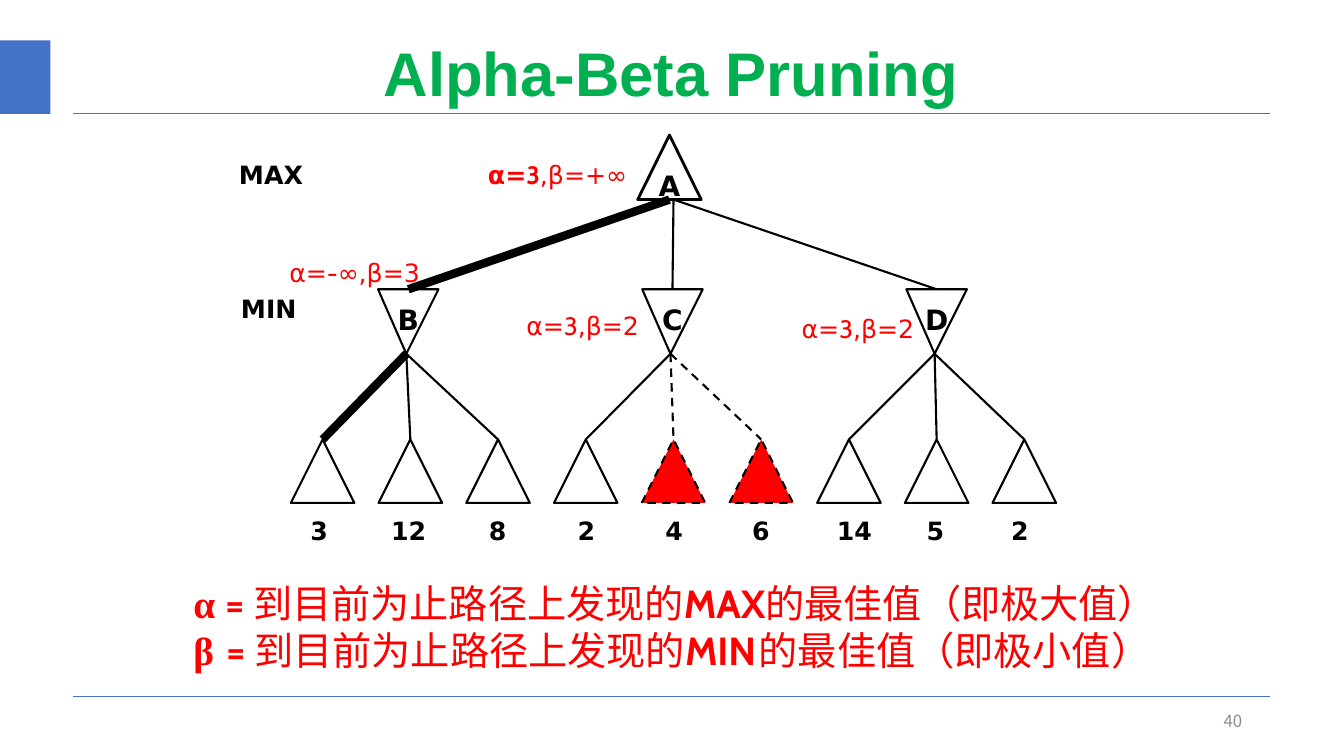
from lxml import etree
from pptx import Presentation
from pptx.dml.color import RGBColor
from pptx.enum.dml import MSO_LINE
from pptx.enum.shapes import MSO_CONNECTOR, MSO_SHAPE
from pptx.enum.text import MSO_ANCHOR, PP_ALIGN
from pptx.oxml.ns import qn
from pptx.util import Inches, Pt

STRAIGHT = MSO_CONNECTOR.STRAIGHT
RECTANGLE = MSO_SHAPE.RECTANGLE
DASH = MSO_LINE.DASH
MIDDLE, TOP = MSO_ANCHOR.MIDDLE, MSO_ANCHOR.TOP
LEFT, CENTER, RIGHT = PP_ALIGN.LEFT, PP_ALIGN.CENTER, PP_ALIGN.RIGHT

SANS, HUMANIST, SERIF = "DejaVu Sans", "Cabin", "Times New Roman"
CHINESE = "Noto Sans CJK SC"
BLACK, RED, BLUE = "000000", "FF0000", "4472C4"

LEAVES = [("3", 0.19), ("12", 0.99), ("8", 1.96), ("2", 2.84), ("4", 3.71),
          ("6", 4.57), ("14", 5.41), ("5", 6.30), ("2", 7.14)]
PRUNED = (4, 5)
BOUNDS = [
    (1.95, 0.22, [("α=", SANS, True), ("3", HUMANIST, True), (",β=+∞", SANS, False)]),
    (-0.02, 1.19, [("α=", SANS, False), ("-", HUMANIST, False), ("∞,β=3", SANS, False)]),
    (2.33, 1.72, [("α=", SANS, False), ("3", HUMANIST, False), (",β=2", SANS, False)]),
    (5.06, 1.75, [("α=", SANS, False), ("3", HUMANIST, False), (",β=2", SANS, False)]),
]
DEFINITIONS = [
    [("α ", SERIF, True, 28), ("= ", HUMANIST, True, 28),
     ("到目前为止路径上发现的", CHINESE, False, 28), ("MAX", HUMANIST, True, 28),
     ("的最佳值（即极大值）", CHINESE, False, 28)],
    [("β ", SERIF, True, 28), (" ", SERIF, True, 7), ("= ", HUMANIST, True, 28),
     ("到目前为止路径上发现的", CHINESE, False, 28), ("MIN", HUMANIST, True, 28),
     (" ", HUMANIST, True, 8), ("的最佳值（即极小值）", CHINESE, False, 28)],
]


def rgb(value):
    return RGBColor.from_string(value)


def add_text(slide, box, lines, color, align=LEFT, anchor=TOP, inset=True,
             wrap=False, spacing=None):
    frame = slide.shapes.add_textbox(*map(Inches, box)).text_frame
    frame.word_wrap = wrap
    frame.vertical_anchor = anchor
    if not inset:
        frame.margin_left = frame.margin_right = 0
        frame.margin_top = frame.margin_bottom = 0
    for index, pieces in enumerate(lines):
        paragraph = frame.add_paragraph() if index else frame.paragraphs[0]
        paragraph.alignment = align
        if spacing:
            paragraph.line_spacing = spacing
        for words, face, bold, size in pieces:
            run = paragraph.add_run()
            run.text = words
            run.font.size = Pt(size)
            run.font.bold = bold
            run.font.color.rgb = rgb(color)
            run.font.name = face
            east_asian = etree.SubElement(run.font._element, qn("a:ea"))
            east_asian.set("typeface", face)


def add_label(slide, left, top, width, pieces, color=BLACK, size=18, align=LEFT):
    sized = [(*piece, size) for piece in pieces]
    add_text(slide, (left, top, width, 0.33), [sized], color, align,
             inset=False, spacing=1.07)


def add_line(slide, start, end, width=1.5, color=BLACK, dashed=False):
    line = slide.shapes.add_connector(STRAIGHT, *map(Inches, (*start, *end)))
    line.line.width = Pt(width)
    line.line.color.rgb = rgb(color)
    if dashed:
        line.line.dash_style = DASH
    etree.SubElement(line._element.spPr, qn("a:effectLst"))


def add_triangle(slide, points, width=1.5, pruned=False):
    start, *others = [tuple(map(Inches, point)) for point in points]
    builder = slide.shapes.build_freeform(*start)
    builder.add_line_segments(others, close=True)
    triangle = builder.convert_to_shape()
    triangle.shadow.inherit = False
    triangle.line.color.rgb = rgb(BLACK)
    triangle.line.width = Pt(width)
    if pruned:
        triangle.fill.solid()
        triangle.fill.fore_color.rgb = rgb(RED)
        triangle.line.dash_style = DASH
    else:
        triangle.fill.background()


def add_header(slide, left, top, width, height):
    accent = slide.shapes.add_shape(RECTANGLE, 0, Inches(top + 0.07), Inches(0.5), Inches(0.73))
    accent.shadow.inherit = False
    accent.fill.solid()
    accent.fill.fore_color.rgb = rgb(BLUE)
    accent.line.fill.background()
    add_line(slide, (0.72, 1.12), (12.6, 1.12), 0.5, BLUE)
    add_text(slide, (left, top, width, height), [[("Alpha-Beta Pruning", "Arial", True, 44)]],
             "00B050", CENTER, MIDDLE, wrap=True, spacing=0.9)


def add_tree(slide, left, top):
    root_x, root_base = left + 3.75, top + 0.64
    min_top, min_tip = top + 1.53, top + 2.17
    leaf_top, leaf_base = top + 3.02, top + 3.65
    half = 0.315

    add_triangle(slide, [(root_x - half, root_base), (root_x, top), (root_x + half, root_base)], 2)
    add_label(slide, root_x - 0.15, top + 0.31, 0.3, [("A", SANS, True)], size=20, align=CENTER)

    for branch, name in enumerate("BCD"):
        node_x = left + 1.16 + 2.62 * branch
        tip = (node_x - 0.02, min_tip)
        best = branch == 0
        add_triangle(slide, [tip, (node_x + 0.3, min_top), (node_x - 0.3, min_top)])
        add_label(slide, node_x - 0.15, top + 1.64, 0.3, [(name, SANS, True)],
                  size=20, align=CENTER)
        add_line(slide, (root_x if best else root_x + 0.04, root_base),
                 (node_x, min_top), 6 if best else 1.5)
        for leaf in range(3 * branch, 3 * branch + 3):
            leaf_x = left + 0.31 + 0.87 * leaf
            pruned = leaf in PRUNED
            add_triangle(slide, [(leaf_x - half, leaf_base), (leaf_x, leaf_top),
                                 (leaf_x + half, leaf_base)], pruned=pruned)
            add_line(slide, tip, (leaf_x, leaf_top), 6 if leaf == 0 else 1.5, dashed=pruned)
            value, offset = LEAVES[leaf]
            add_label(slide, left + offset, top + 3.75, 0.23 * len(value), [(value, SANS, True)])

    for player, x, y in [("MAX", -0.52, 0.22), ("MIN", -0.5, 1.55)]:
        add_label(slide, left + x, top + y, 0.82, [(player, SANS, True)])
    for x, y, pieces in BOUNDS:
        add_label(slide, left + x, top + y, 1.5, pieces, RED)


def add_definitions(slide, left, top, width, height):
    add_text(slide, (left, top, width, height), DEFINITIONS, RED, wrap=True)


def add_footer(slide, left, top, width, height):
    add_line(slide, (0.72, 6.91), (12.6, 6.91), 0.5, BLUE)
    add_text(slide, (left, top, width, height), [[("40", CHINESE, False, 12)]],
             "8C8C8C", RIGHT, MIDDLE, wrap=True)


def main():
    deck = Presentation()
    deck.slide_width, deck.slide_height = Inches(13.33), Inches(7.5)
    slide = deck.slides.add_slide(deck.slide_layouts[6])
    add_header(slide, 0.91, 0.33, 11.5, 0.85)
    add_tree(slide, 2.89, 1.34)
    add_definitions(slide, 1.82, 5.7, 10.16, 1.04)
    add_footer(slide, 9.42, 6.95, 3, 0.4)
    deck.save("out.pptx")


if __name__ == "__main__":
    main()
